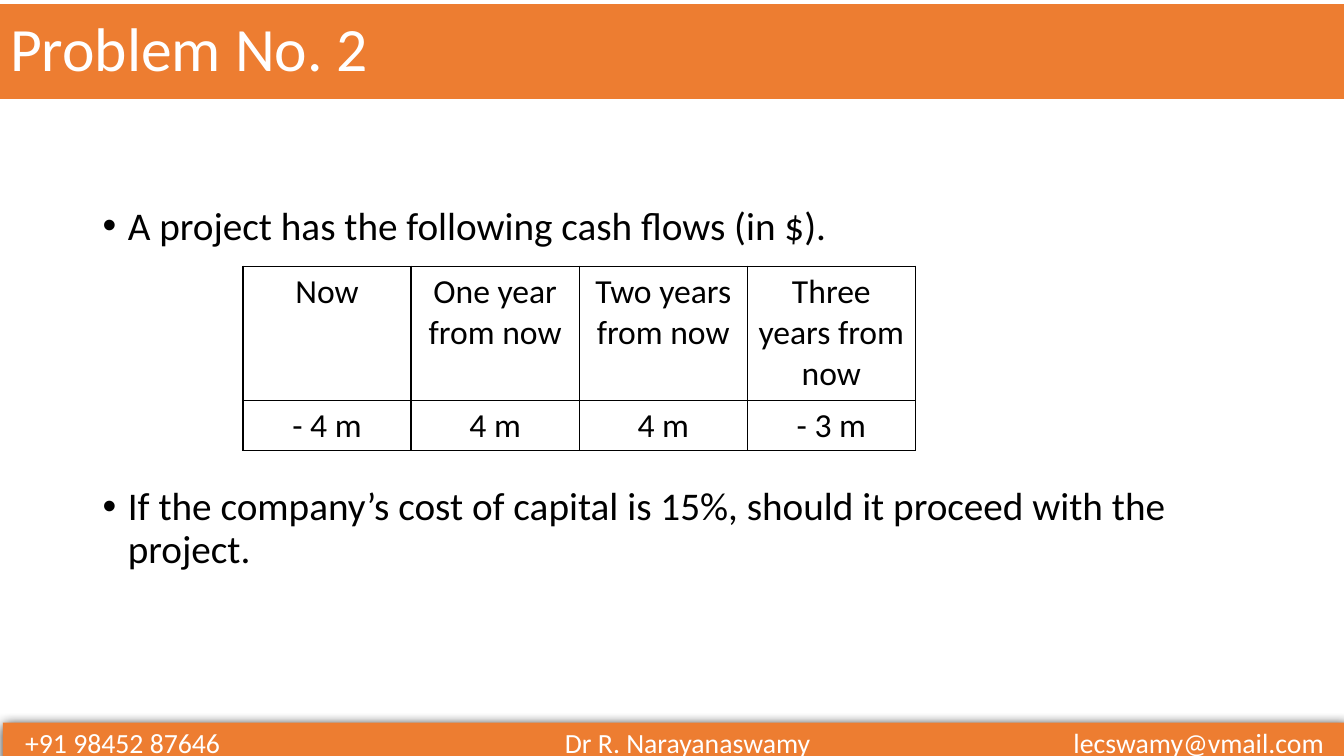
from lxml import etree
from pptx import Presentation
from pptx import util as u
from pptx.dml.color import RGBColor
from pptx.enum import shapes, text
from pptx.oxml import parse_xml

NS = 'xmlns:a="http://schemas.openxmlformats.org/drawingml/2006/main"'
ORANGE, WHITE, BLACK = "ED7D31", "FFFFFF", "000000"


def paint(fill, color):
    fill.solid()
    fill.fore_color.rgb = RGBColor.from_string(color)


def write(frame, *lines, size, color=BLACK, align=text.PP_ALIGN.LEFT,
          spacing=1.0, gap=0, marks=(), indent=0):
    frame.word_wrap = True
    for n, line in enumerate(lines):
        para = frame.add_paragraph() if n else frame.paragraphs[0]
        para.text = line
        para.alignment = align
        para.line_spacing = spacing
        para.space_before = u.Pt(gap if n else 0)
        props = para._p.get_or_add_pPr()
        if indent:
            props.set("marL", str(u.Inches(indent)))
            props.set("indent", str(-u.Inches(indent)))
        for mark in marks:
            props.append(parse_xml(mark))
        para.font.size = u.Pt(size)
        para.font.name = "Calibri"
        paint(para.font.fill, color)


deck = Presentation()
deck.slide_width, deck.slide_height = u.Inches(13.33), u.Inches(7.5)
slide = deck.slides.add_slide(deck.slide_layouts[5])

title = slide.shapes.title
title.left, title.top = u.Inches(0), u.Inches(0.04)
title.width, title.height = u.Inches(13.33), u.Inches(0.94)
paint(title.fill, ORANGE)
title.text_frame.auto_size = text.MSO_AUTO_SIZE.NONE
title.text_frame.vertical_anchor = text.MSO_ANCHOR.MIDDLE
write(title.text_frame, "Problem No. 2", size=44, color=WHITE, spacing=0.9)

body = slide.shapes.add_textbox(u.Inches(0.92), u.Inches(2), u.Inches(11.5), u.Inches(4.76))
bullet = (f'<a:buFont {NS} typeface="Arial"/>', f'<a:buChar {NS} char="•"/>')
write(body.text_frame,
      "A project has the following cash flows (in $).",
      "If the company’s cost of capital is 15%, should it proceed with the project.",
      size=28, spacing=0.9, gap=170, marks=bullet, indent=0.25)

flows = [("Now", "- 4 m"), ("One year from now", "4 m"),
         ("Two years from now", "4 m"), ("Three years from now", "- 3 m")]
table = slide.shapes.add_table(2, len(flows), u.Inches(2.41), u.Inches(2.64),
                               u.Inches(6.67), u.Inches(1.83)).table
table.first_row = table.horz_banding = False
for row, height in zip(table.rows, (1.33, 0.5)):
    row.height = u.Inches(height)
for col, pair in enumerate(flows):
    for row, value in enumerate(pair):
        cell = table.cell(row, col)
        write(cell.text_frame, value, size=24, align=text.PP_ALIGN.CENTER)
        props = cell._tc.get_or_add_tcPr()
        for side in ("lnL", "lnR", "lnT", "lnB"):
            props.append(parse_xml(
                f'<a:{side} {NS} w="12700"><a:solidFill><a:srgbClr val="{BLACK}"/>'
                f'</a:solidFill></a:{side}>'))
        cell.fill.background()

bar = slide.shapes.add_shape(shapes.MSO_SHAPE.RECTANGLE, u.Inches(0.03), u.Inches(7.17),
                             u.Inches(13.33), u.Inches(0.4))
bar.shadow.inherit = False
paint(bar.fill, ORANGE)
bar.line.fill.background()
glow = bar._element.spPr.find("{*}effectLst")
glow.append(parse_xml(
    f'<a:outerShdw {NS} blurRad="{u.Pt(8.5)}" dist="{u.Pt(1)}" dir="5400000" rotWithShape="0">'
    f'<a:srgbClr val="{BLACK}"/></a:outerShdw>'))
frame = bar.text_frame
frame.margin_left, frame.margin_right = u.Inches(0.22), u.Inches(0.2)
frame.margin_top = frame.margin_bottom = 0
frame.vertical_anchor = text.MSO_ANCHOR.MIDDLE
tabs = (f'<a:tabLst {NS}><a:tab pos="{u.Inches(6.57)}" algn="ctr"/>'
        f'<a:tab pos="{u.Inches(12.88)}" algn="r"/></a:tabLst>')
write(frame, "+91 98452 87646\tDr R. Narayanaswamy\tlecswamy@vmail.com",
      size=19.8, color=WHITE, marks=(tabs,))

deck.save("out.pptx")
